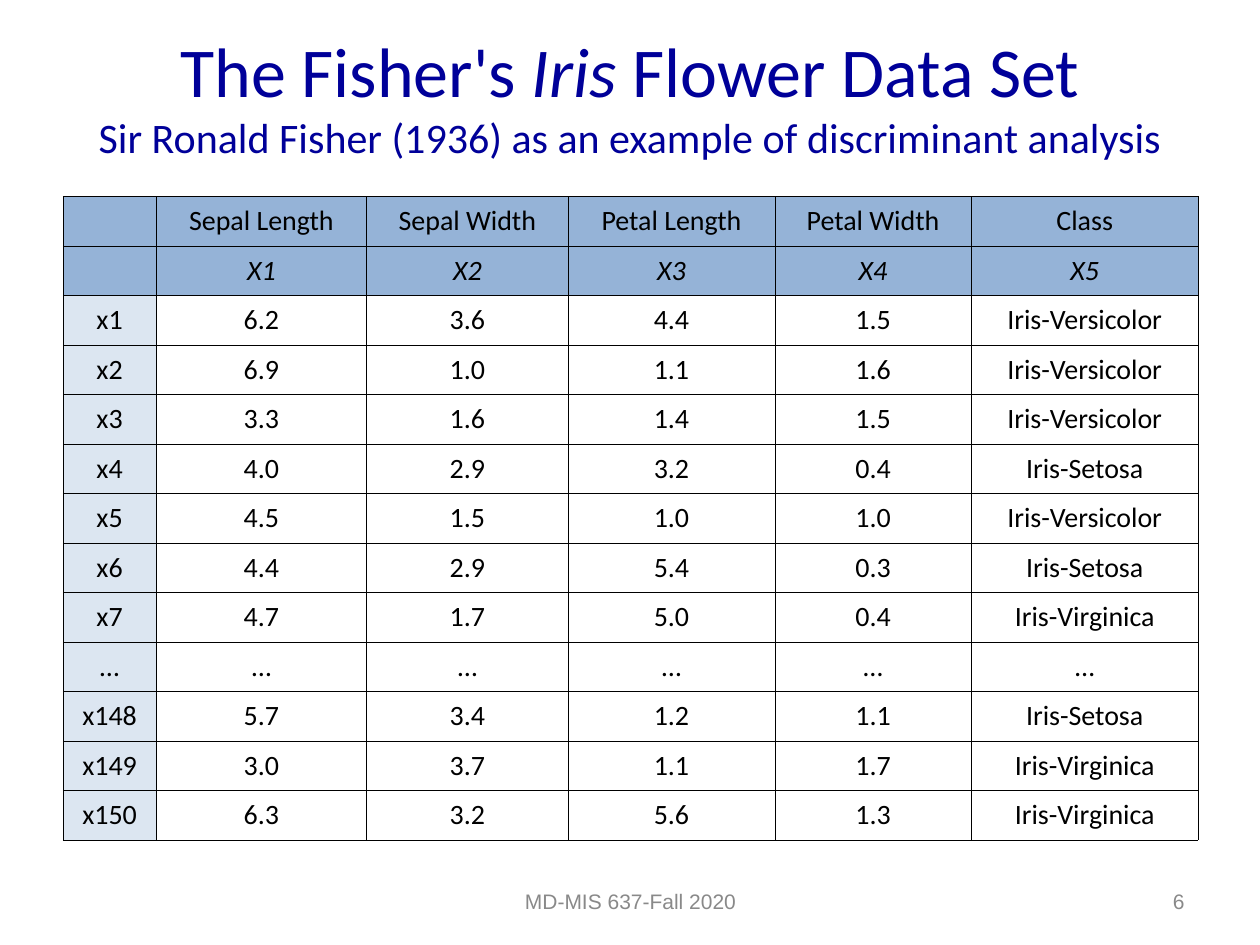
from pptx import Presentation
from pptx import util as u
from pptx.dml import color
from pptx.enum import text
from pptx.oxml import parse_xml
from pptx.oxml import ns

NAVY, GREY, BLACK = "000099", "898989", "000000"
HEADER_BLUE, LABEL_BLUE = "95B3D7", "DCE6F1"
COLUMN_WIDTHS = [0.74, 1.67, 1.6, 1.64, 1.56, 1.8]
HEADER_ROWS = 2
ROWS = [
    ["", "Sepal Length", "Sepal Width", "Petal Length", "Petal Width", "Class"],
    ["", "X1", "X2", "X3", "X4", "X5"],
    ["x1", "6.2", "3.6", "4.4", "1.5", "Iris-Versicolor"],
    ["x2", "6.9", "1.0", "1.1", "1.6", "Iris-Versicolor"],
    ["x3", "3.3", "1.6", "1.4", "1.5", "Iris-Versicolor"],
    ["x4", "4.0", "2.9", "3.2", "0.4", "Iris-Setosa"],
    ["x5", "4.5", "1.5", "1.0", "1.0", "Iris-Versicolor"],
    ["x6", "4.4", "2.9", "5.4", "0.3", "Iris-Setosa"],
    ["x7", "4.7", "1.7", "5.0", "0.4", "Iris-Virginica"],
    ["…"] * 6,
    ["x148", "5.7", "3.4", "1.2", "1.1", "Iris-Setosa"],
    ["x149", "3.0", "3.7", "1.1", "1.7", "Iris-Virginica"],
    ["x150", "6.3", "3.2", "5.6", "1.3", "Iris-Virginica"],
]


def rgb(value):
    return color.RGBColor.from_string(value)


class SlideBuilder:
    """Holds the text style and the slide being built."""

    def __init__(self, slide, font="Calibri", border_width=0.23):
        self.slide = slide
        self.font = font
        self.border_width = border_width

    def run(self, paragraph, words, size, fill, italic=False, font=None):
        run = paragraph.add_run()
        run.text = words
        run.font.name = font or self.font
        run.font.size = u.Pt(size)
        run.font.italic = italic
        run.font.color.rgb = rgb(fill)

    def text_box(self, left, top, width, height, align=text.PP_ALIGN.CENTER):
        shape = self.slide.shapes.add_textbox(*map(u.Inches, (left, top, width, height)))
        frame = shape.text_frame
        frame.word_wrap = True
        frame.vertical_anchor = text.MSO_ANCHOR.MIDDLE
        paragraph = frame.paragraphs[0]
        paragraph.alignment = align
        return paragraph

    def footer(self, words, left, width, align):
        paragraph = self.text_box(left, 6.95, width, 0.4, align)
        self.run(paragraph, words, 12, GREY, font="Arial")

    def borders(self, cell):
        properties = cell._tc.get_or_add_tcPr()
        for side in "LRTB":
            properties.append(parse_xml(
                f'<a:ln{side} {ns.nsdecls("a")} w="{u.Pt(self.border_width)}">'
                f'<a:solidFill><a:srgbClr val="{BLACK}"/></a:solidFill></a:ln{side}>'))

    def cell(self, cell, words, fill, italic):
        self.borders(cell)
        if fill:
            cell.fill.solid()
            cell.fill.fore_color.rgb = rgb(fill)
        else:
            cell.fill.background()
        cell.margin_left = cell.margin_right = u.Inches(0.01)
        cell.vertical_anchor = text.MSO_ANCHOR.MIDDLE
        paragraph = cell.text_frame.paragraphs[0]
        paragraph.alignment = text.PP_ALIGN.CENTER
        if words:
            self.run(paragraph, words, 16, BLACK, italic)
        else:
            paragraph._p.get_or_add_endParaRPr().set("sz", "1600")

    def table(self, rows, widths, left, top, width, height):
        frame = self.slide.shapes.add_table(
            len(rows), len(widths), *map(u.Inches, (left, top, width, height)))
        table = frame.table
        table.first_row = table.horz_banding = False
        for column, column_width in zip(table.columns, widths):
            column.width = u.Inches(column_width)
        for row, values in enumerate(rows):
            for column, words in enumerate(values):
                if row < HEADER_ROWS:
                    fill = HEADER_BLUE
                else:
                    fill = None if column else LABEL_BLUE
                self.cell(table.cell(row, column), words, fill, italic=row == 1)


def main():
    presentation = Presentation()
    presentation.slide_width, presentation.slide_height = u.Inches(10), u.Inches(7.5)
    builder = SlideBuilder(presentation.slides.add_slide(presentation.slide_layouts[6]))

    title = builder.text_box(0.25, 0, 9.5, 1.5)
    builder.run(title, "The Fisher's ", 40, NAVY)
    builder.run(title, "Iris", 40, NAVY, italic=True)
    builder.run(title, " Flower Data Set", 40, NAVY)
    title.add_line_break()
    builder.run(title, "Sir Ronald Fisher (1936) as an example of discriminant analysis", 24, NAVY)

    builder.footer("MD-MIS 637-Fall 2020", 3.42, 3.17, text.PP_ALIGN.CENTER)
    builder.footer("6", 7.17, 2.33, text.PP_ALIGN.RIGHT)
    builder.table(ROWS, COLUMN_WIDTHS, 0.5, 1.56, 9, 5.11)
    presentation.save("out.pptx")


if __name__ == "__main__":
    main()
